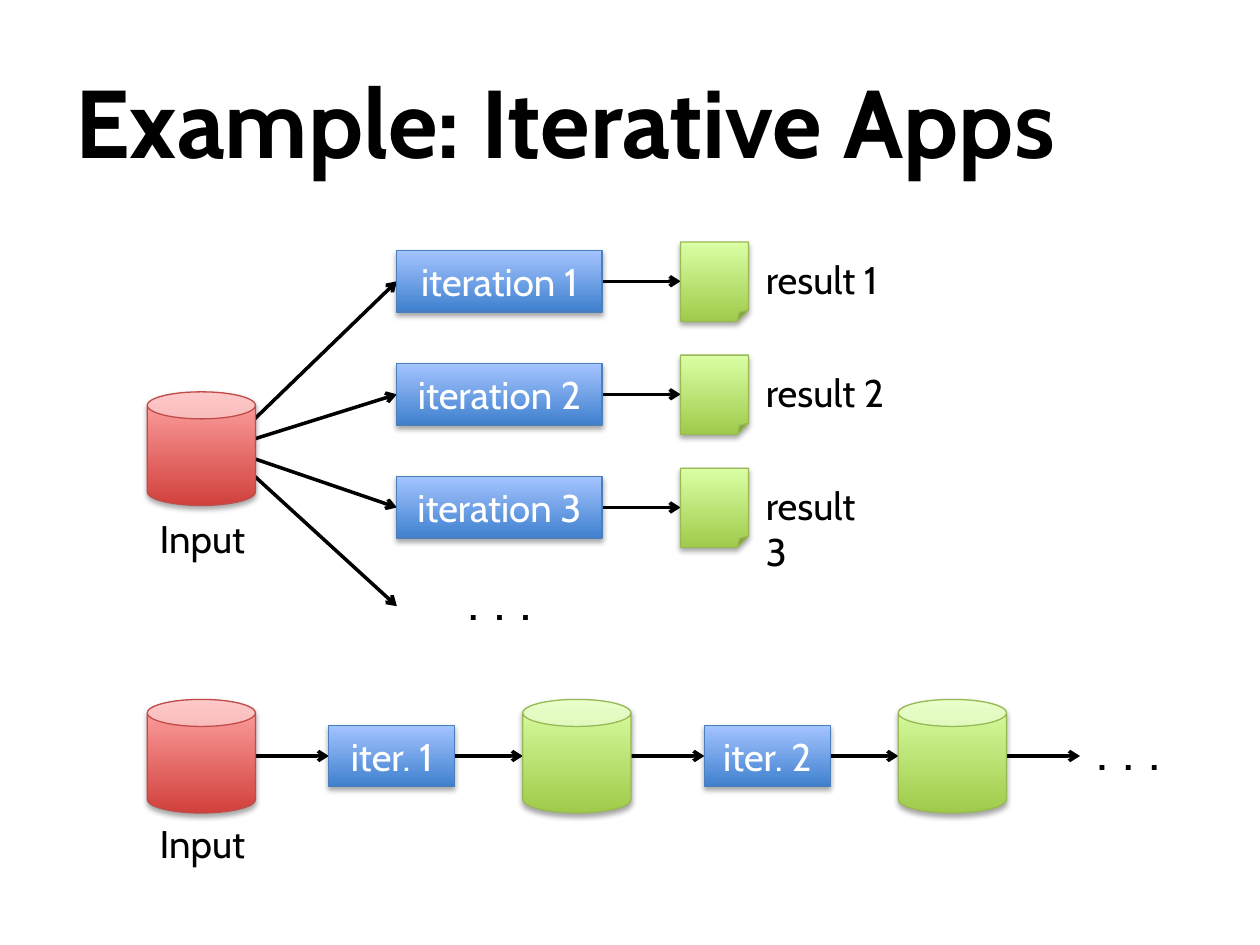
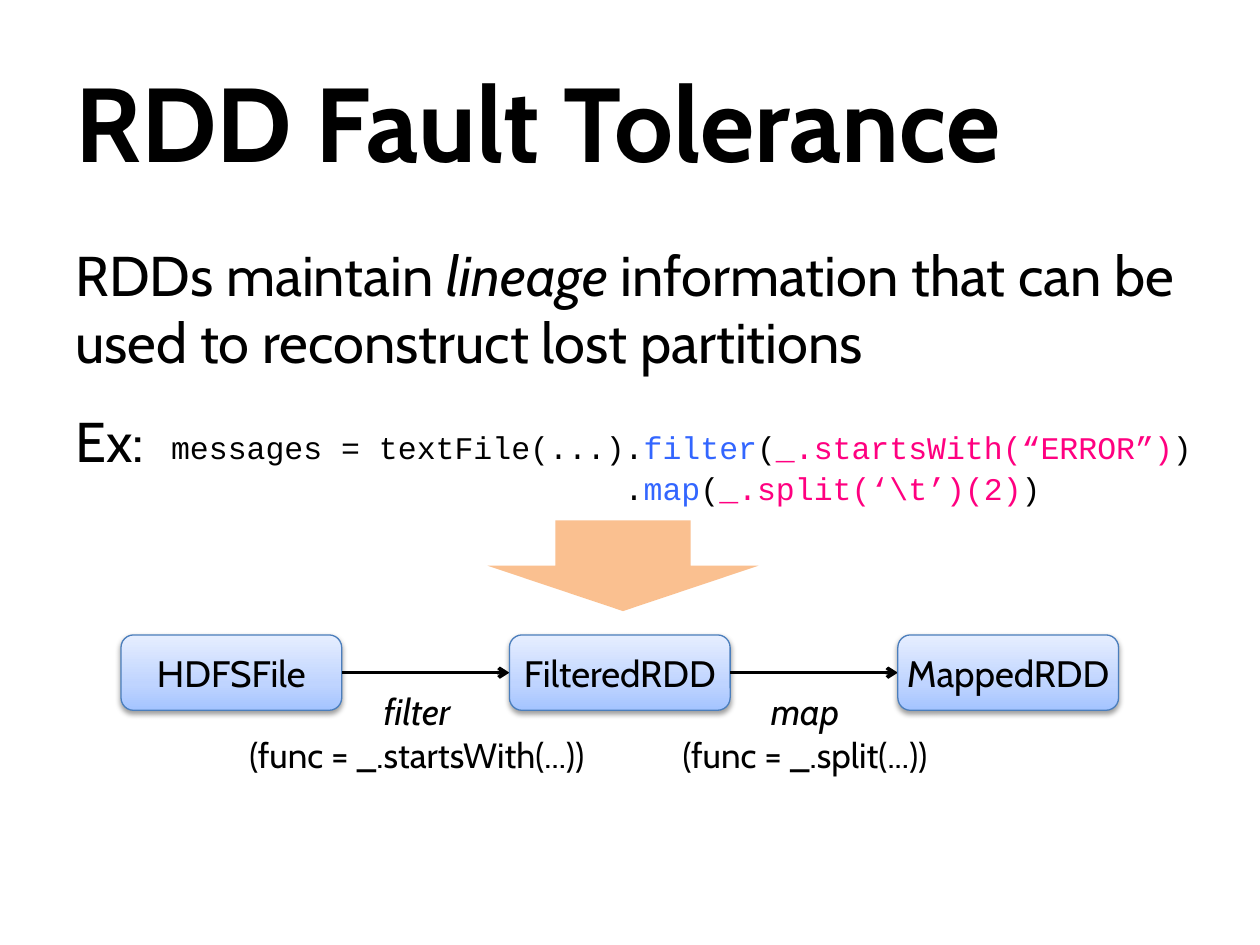
from copy import deepcopy

from lxml import etree
from pptx import Presentation
from pptx.dml.color import RGBColor
from pptx.enum.shapes import MSO_CONNECTOR, MSO_SHAPE
from pptx.enum.text import MSO_ANCHOR, MSO_AUTO_SIZE, PP_ALIGN
from pptx.oxml.ns import qn
from pptx.util import Cm, Pt

STRAIGHT = MSO_CONNECTOR.STRAIGHT
RECT = MSO_SHAPE.RECTANGLE
ROUNDED = MSO_SHAPE.ROUNDED_RECTANGLE
CAN = MSO_SHAPE.CAN
PAGE = MSO_SHAPE.FOLDED_CORNER
DOWN_ARROW = MSO_SHAPE.DOWN_ARROW
LEFT, CENTER = PP_ALIGN.LEFT, PP_ALIGN.CENTER
TOP, MIDDLE = MSO_ANCHOR.TOP, MSO_ANCHOR.MIDDLE
GROW, FIXED = MSO_AUTO_SIZE.SHAPE_TO_FIT_TEXT, MSO_AUTO_SIZE.NONE

BODY_FONT, CODE_FONT = "Cabin", "Courier New"
BLACK, WHITE, ORANGE = "000000", "FFFFFF", "FAC090"
BLUE_CODE, PINK_CODE = "3366FF", "FF0080"
RED = {"stops": [(0, "D1403C"), (1, "FFA6A5")], "line": "BF4C48"}
GREEN = {"stops": [(0, "A0CA4A"), (1, "DAFFA5")], "line": "98B955"}
BLUE = {"stops": [(0, "3F80CE"), (1, "A4C4FF")], "line": "4B7EBC"}
PALE_BLUE = {
    "stops": [(0, "A4C4FF"), (0.35, "BFD4FF"), (1, "E6EEFF")],
    "line": "4B7EBC",
    "shadow": (38000, 20000),
}
DOTS = ".  .  ."


def rgb(value):
    return RGBColor.from_string(value)


def set_attrs(target, values):
    for name, value in values.items():
        setattr(target, name, value)


class Deck:
    def __init__(self):
        self.prs = Presentation()
        set_attrs(self.prs, {"slide_width": Cm(25.4), "slide_height": Cm(19.05)})
        self.s = None

    def new_slide(self, title, size):
        self.s = self.prs.slides.add_slide(self.prs.slide_layouts[6])
        self.text(1.27, 0.84, 22.86, 3.18, [[title]], size, bold=True,
                  anchor=MIDDLE, auto_size=FIXED)

    def fill_text(self, tf, paragraphs, size, color=BLACK, font=BODY_FONT, bold=False,
                  align=LEFT, gap=0, spacing=None):
        for i, runs in enumerate(paragraphs):
            p = tf.paragraphs[0] if i == 0 else tf.add_paragraph()
            set_attrs(p, {"alignment": align, "line_spacing": spacing,
                          "space_before": Pt(gap if i else 0)})
            for run in runs:
                if run == "\n":
                    p.add_line_break()
                    continue
                content, extra = (run, {}) if isinstance(run, str) else run
                style = {"size": Pt(size), "name": font, "bold": bold, **extra}
                shade = style.pop("color", color)
                r = p.add_run()
                r.text = content
                set_attrs(r.font, style)
                r.font.color.rgb = rgb(shade)

    def text(self, x, y, w, h, paragraphs, size=22, anchor=TOP, auto_size=GROW, **style):
        tf = self.s.shapes.add_textbox(Cm(x), Cm(y), Cm(w), Cm(h)).text_frame
        set_attrs(tf, {"word_wrap": True, "auto_size": auto_size,
                       "vertical_anchor": anchor})
        self.fill_text(tf, paragraphs, size, **style)

    def plain_shape(self, kind, x, y, w, h, color):
        sp = self.s.shapes.add_shape(kind, Cm(x), Cm(y), Cm(w), Cm(h))
        sp.shadow.inherit = False
        sp.fill.solid()
        sp.fill.fore_color.rgb = rgb(color)
        sp.line.fill.background()
        return sp

    def shape(self, kind, x, y, w, h, look, label=None, size=22, color=WHITE):
        sp = self.plain_shape(kind, x, y, w, h, WHITE)
        self.gradient(sp, look["stops"])
        sp.line.color.rgb = rgb(look["line"])
        sp.line.width = Pt(0.75)
        self.shadow(sp, *look.get("shadow", (35000, 23000)))
        if label:
            set_attrs(sp.text_frame, {"margin_left": 0, "margin_right": 0,
                                      "word_wrap": True, "vertical_anchor": MIDDLE})
            self.fill_text(sp.text_frame, [[label]], size, color, align=CENTER)

    def gradient(self, sp, stops):
        sp.fill.gradient()
        sp.fill.gradient_angle = 90
        stop_list = sp._element.spPr.find(".//" + qn("a:gsLst"))
        for _ in stops[2:]:
            stop_list.append(deepcopy(stop_list[-1]))
        for stop, (position, color) in zip(sp.fill.gradient_stops, stops):
            stop.position = position
            stop.color.rgb = rgb(color)

    def shadow(self, sp, alpha, distance):
        effects = sp._element.spPr.find(qn("a:effectLst"))
        outer = etree.SubElement(effects, qn("a:outerShdw"), blurRad="40000",
                                 dist=str(distance), dir="5400000", rotWithShape="0")
        color = etree.SubElement(outer, qn("a:srgbClr"), val=BLACK)
        etree.SubElement(color, qn("a:alpha"), val=str(alpha))

    def arrow(self, x1, y1, x2, y2):
        cx = self.s.shapes.add_connector(STRAIGHT, Cm(x1), Cm(y1), Cm(x2), Cm(y2))
        cx.line.color.rgb = rgb(BLACK)
        cx.line.width = Pt(2)
        sp_pr = cx._element.spPr
        etree.SubElement(sp_pr.find(qn("a:ln")), qn("a:tailEnd"), type="arrow")
        etree.SubElement(sp_pr, qn("a:effectLst"))

    def can(self, x, y, look):
        self.shape(CAN, x, y, 2.18, 2.29, look)


def iterative_apps(deck):
    deck.new_slide("Example: Iterative Apps", 55)
    input_x, step_x, page_x = 2.97, 8, 13.72
    step_w, step_h = 4.14, 1.24
    rows = [5.67 + 2.28 * i for i in range(3)]

    for y in rows + [12.22]:
        deck.arrow(4.52, 9.04, step_x, y)
    deck.can(input_x, 7.9, RED)
    for number, (y, label_w) in enumerate(zip(rows, (2.87, 2.9, 2.84)), 1):
        deck.arrow(step_x + step_w, y, page_x, y)
        deck.shape(PAGE, page_x, y - 0.79, 1.37, 1.6, GREEN)
        deck.shape(RECT, step_x, y - step_h / 2, step_w, step_h, BLUE,
                   f"iteration {number}")
        deck.text(15.19, y - 0.64, label_w, 1.19, [[f"result {number}"]])
    deck.text(step_x, 11.61, step_w, 1.19, [[DOTS]], bold=True, align=CENTER)

    chain_y, pitch = 15.24, 7.57
    for i, look in enumerate((RED, GREEN, GREEN)):
        x = input_x + pitch * i
        deck.arrow(x + 2.18, chain_y, x + 3.66, chain_y)
        if i < 2:
            deck.arrow(x + 6.2, chain_y, x + pitch, chain_y)
            deck.shape(RECT, x + 3.66, chain_y - step_h / 2, 2.54, step_h, BLUE,
                       f"iter. {i + 1}")
        deck.can(x, chain_y - 1.14, look)
    deck.text(21.74, 14.63, 2.01, 1.19, [[DOTS]], bold=True, align=CENTER)

    for y in (10.26, 16.41):
        deck.text(input_x, y, 2.24, 1.19, [["Input"]])


def fault_tolerance(deck):
    deck.new_slide("RDD Fault Tolerance", 60)
    italic = {"italic": True}
    blue, pink = {"color": BLUE_CODE}, {"color": PINK_CODE}
    deck.text(1.27, 4.72, 23.06, 11.58, [
        ["RDDs maintain ", ("lineage", italic),
         " information that can be used to reconstruct lost partitions"],
        ["Ex:"],
    ], 32, gap=18, auto_size=FIXED)
    deck.text(3.2, 8.46, 21.51, 1.8, [
        ["messages = textFile(...).", ("filter", blue), "(",
         ("_.startsWith(“ERROR”)", pink), ")"],
        ["                        .", ("map", blue), "(",
         ("_.split(‘\\t’)(2)", pink), ")"],
    ], 18, font=CODE_FONT, spacing=1.07)
    deck.plain_shape(DOWN_ARROW, 9.83, 10.49, 5.46, 1.83, ORANGE)

    box_x, pitch, box_w = 2.44, 7.83, 4.45
    for i, name in enumerate(("HDFSFile", "FilteredRDD", "MappedRDD")):
        x = box_x + pitch * i
        deck.shape(ROUNDED, x, 12.8, box_w, 1.52, PALE_BLUE, name, 21, BLACK)
        if i < 2:
            deck.arrow(x + box_w, 13.56, x + pitch, 13.56)

    for x, w, name, func in ((4.67, 7.47, "filter", "startsWith"),
                             (13.41, 5.64, "map", "split")):
        deck.text(x, 13.77, w, 2.01, [
            [(name, {"italic": True, "size": Pt(21)}), "\n", f"(func = _.{func}(...))"],
        ], 20, align=CENTER)


def main():
    deck = Deck()
    iterative_apps(deck)
    fault_tolerance(deck)
    deck.prs.save("out.pptx")


if __name__ == "__main__":
    main()
